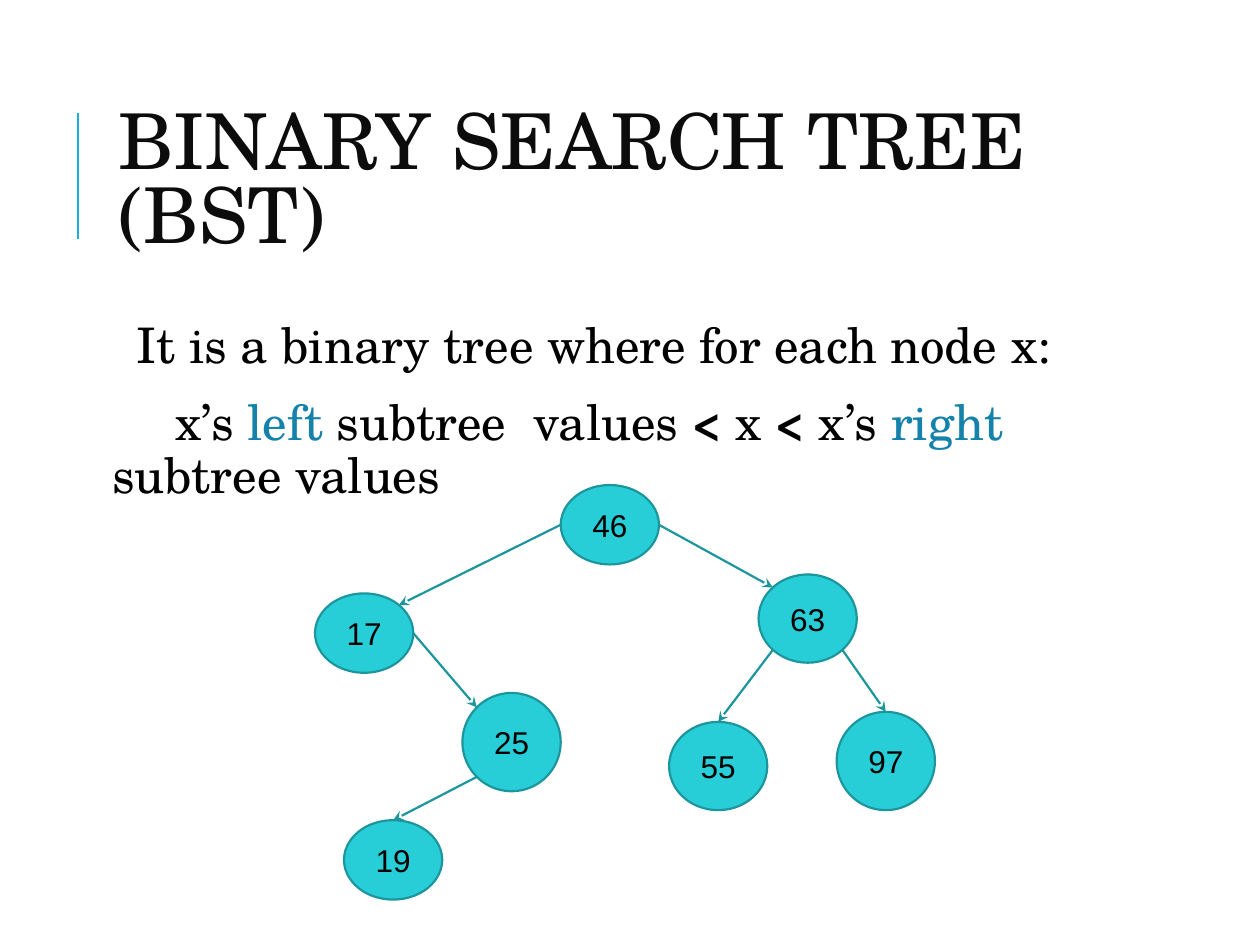
"""Build a slide that defines a binary search tree and draws an example."""
from dataclasses import dataclass
from math import cos, radians, sin

from lxml.etree import SubElement
from pptx import Presentation
from pptx.dml.color import RGBColor
from pptx.enum.shapes import MSO_CONNECTOR as Connector, MSO_SHAPE as Shape
from pptx.enum.text import MSO_ANCHOR as Anchor, PP_ALIGN as Align
from pptx.oxml.ns import qn
from pptx.util import Inches, Pt

SERIF, SANS = "TeX Gyre Schola", "Arial"
BLACK, TITLE_INK, ACCENT, KEYWORD = "000000", "0C0C0C", "1CADE4", "1482AB"
NODE_FILL, NODE_LINE = "27CED7", "1C969C"
NODE_WIDTH = 0.78
TOP, LEFT, RIGHT = 90, 180, 0
TOP_LEFT, TOP_RIGHT, BOTTOM_LEFT, BOTTOM_RIGHT = 135, 45, 225, 315


@dataclass(frozen=True)
class Node:
    left: float
    top: float
    height: float

    def rim(self, angle: int) -> tuple[float, float]:
        """Return the point on the outline at an angle in degrees."""
        turn = radians(angle)
        return (self.left + NODE_WIDTH / 2 * (1 + cos(turn)),
                self.top + self.height / 2 * (1 - sin(turn)))


@dataclass(frozen=True)
class Edge:
    parent: int
    leaves_at: int
    child: int
    enters_at: int


@dataclass(frozen=True)
class Phrase:
    text: str
    color: str = BLACK
    bold: bool = False


NODES = {
    46: Node(4.45, 3.85, 0.63),
    17: Node(2.5, 4.71, 0.63),
    19: Node(2.73, 6.51, 0.63),
    25: Node(3.67, 5.5, 0.78),
    97: Node(6.64, 5.65, 0.78),
    55: Node(5.31, 5.73, 0.7),
    63: Node(6.02, 4.56, 0.7),
}
EDGES = [
    Edge(46, LEFT, 17, TOP_RIGHT),
    Edge(25, BOTTOM_LEFT, 19, TOP),
    Edge(46, RIGHT, 63, TOP_LEFT),
    Edge(63, BOTTOM_LEFT, 55, TOP),
    Edge(17, RIGHT, 25, TOP_LEFT),
    Edge(63, BOTTOM_RIGHT, 97, TOP),
]
TITLE = [Phrase("BINARY SEARCH TREE (BST)", TITLE_INK)]
DEFINITION = [Phrase("It is a binary tree where for each node x:")]
ORDERING = [
    Phrase("\tx’s "), Phrase("left", KEYWORD), Phrase(" subtree  values "),
    Phrase("<", bold=True), Phrase(" x "), Phrase("< ", bold=True),
    Phrase("x’s "), Phrase("right", KEYWORD), Phrase(" subtree values"),
]


def rgb(color: str) -> RGBColor:
    """Turn a hex string into a colour."""
    return RGBColor.from_string(color)


def write(paragraph, phrases: list[Phrase], size: float, font: str) -> None:
    """Add phrases to a paragraph as runs."""
    for phrase in phrases:
        run = paragraph.add_run()
        run.text = phrase.text
        run.font.size, run.font.name = Pt(size), font
        run.font.bold = phrase.bold
        run.font.color.rgb = rgb(phrase.color)


def add_text_frame(slide, top: float, height: float, inset: float):
    """Add a wrapping text box in the content column."""
    frame = slide.shapes.add_textbox(
        Inches(0.84), Inches(top), Inches(7.97), Inches(height)).text_frame
    frame.word_wrap = True
    frame.margin_left = frame.margin_right = Inches(inset)
    return frame


def add_line(slide, start: tuple[float, float], end: tuple[float, float],
             color: str, width: float, arrow: bool = False) -> None:
    """Draw a straight line, with an arrowhead at its end if asked."""
    line = slide.shapes.add_connector(
        Connector.STRAIGHT, *map(Inches, (*start, *end)))
    line.line.color.rgb = rgb(color)
    line.line.width = Pt(width)
    if arrow:
        SubElement(line.line._get_or_add_ln(), qn("a:tailEnd"), type="stealth")
    SubElement(line._element.spPr, qn("a:effectLst"))


def add_node(slide, value: int, node: Node) -> None:
    """Draw a tree node with its value."""
    oval = slide.shapes.add_shape(Shape.OVAL, *map(
        Inches, (node.left, node.top, NODE_WIDTH, node.height)))
    oval.shadow.inherit = False
    oval.fill.solid()
    oval.fill.fore_color.rgb = rgb(NODE_FILL)
    oval.line.color.rgb = rgb(NODE_LINE)
    oval.line.width = Pt(1.25)
    oval.text_frame.vertical_anchor = Anchor.MIDDLE
    label = oval.text_frame.paragraphs[0]
    label.alignment = Align.CENTER
    write(label, [Phrase(str(value))], 18, SANS)


def add_title(slide) -> None:
    """Add the title and the accent rule beside it."""
    add_line(slide, (0.62, 1.9), (0.62, 0.9), ACCENT, 1.5)
    frame = add_text_frame(slide, 0.64, 1.64, 0.1)
    frame.vertical_anchor = Anchor.MIDDLE
    heading = frame.paragraphs[0]
    heading.line_spacing = 0.8
    write(heading, TITLE, 44, SERIF)


def add_definition(slide) -> None:
    """Add the two paragraphs that define the tree."""
    frame = add_text_frame(slide, 2.5, 4.4, 0.05)
    definition, ordering = frame.paragraphs[0], frame.add_paragraph()
    for paragraph, phrases in ((definition, DEFINITION), (ordering, ORDERING)):
        paragraph.line_spacing = 0.9
        write(paragraph, phrases, 28, SERIF)
    ordering.space_before = Pt(14)
    properties = definition._p.get_or_add_pPr()
    properties.set("marL", str(Inches(0.1)))
    properties.set("indent", str(Inches(-0.19)))
    SubElement(SubElement(properties, qn("a:buClr")), qn("a:srgbClr"), val=ACCENT)
    SubElement(properties, qn("a:buChar"), char=" ")


def main() -> None:
    """Build and save the slide."""
    deck = Presentation()
    deck.slide_width, deck.slide_height = Inches(10), Inches(7.5)
    slide = deck.slides.add_slide(deck.slide_layouts[6])
    add_title(slide)
    add_definition(slide)
    for value, node in NODES.items():
        add_node(slide, value, node)
    for edge in EDGES:
        add_line(slide, NODES[edge.parent].rim(edge.leaves_at),
                 NODES[edge.child].rim(edge.enters_at), NODE_LINE, 1.25, True)
    deck.save("out.pptx")


main()
